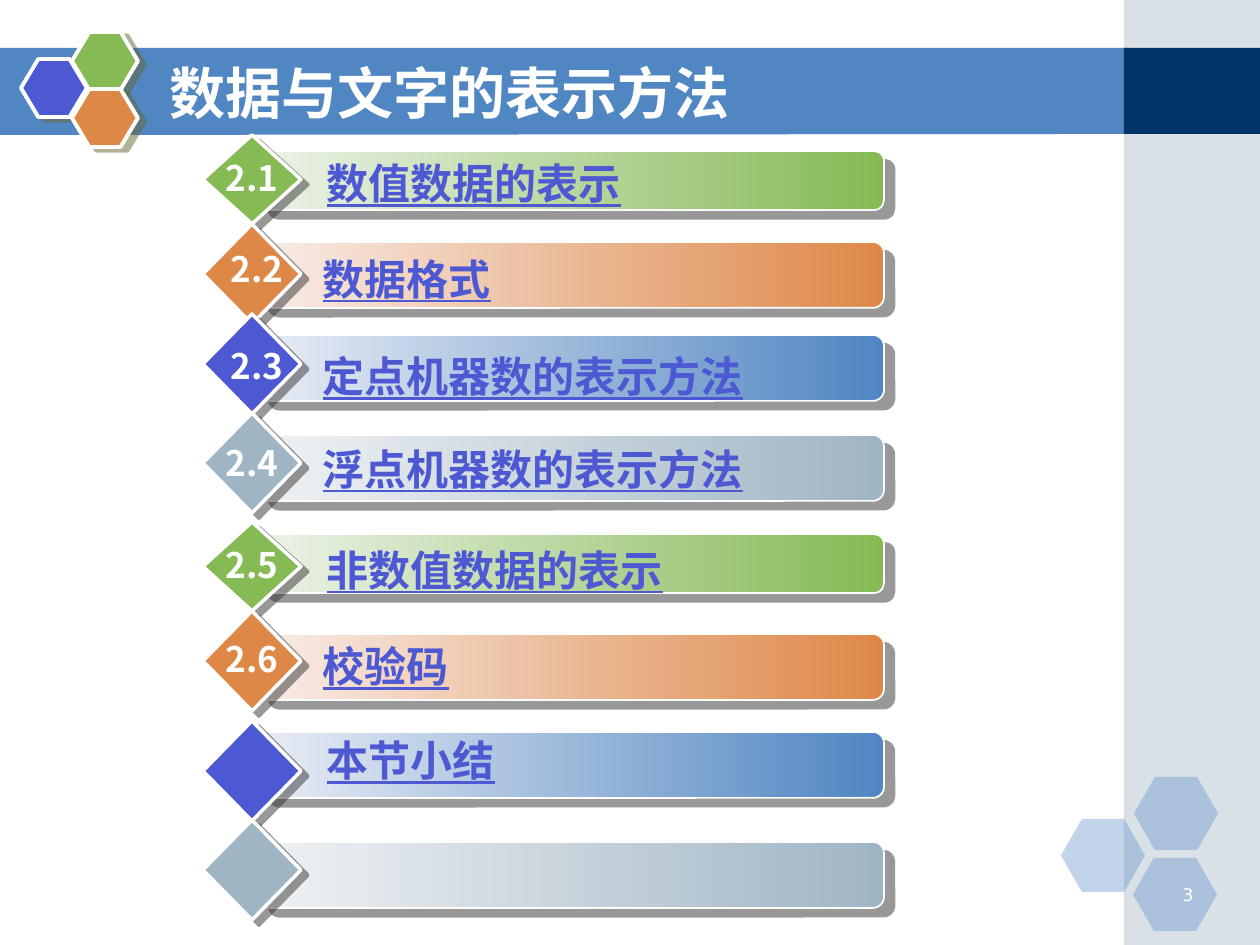
from lxml import etree
from pptx import Presentation
from pptx import util as u
from pptx.dml.color import RGBColor
from pptx.enum import shapes, text
from pptx.oxml import ns

EMU_PER_PX = 914400 / 126
FONT = "Noto Sans CJK SC"

WHITE = RGBColor(0xFF, 0xFF, 0xFF)
BLUE = RGBColor(0x50, 0x86, 0xC2)
NAVY = RGBColor(0x00, 0x33, 0x66)
INDIGO = RGBColor(0x4C, 0x59, 0xD2)
GREEN = RGBColor(0x85, 0xBA, 0x54)
ORANGE = RGBColor(0xDE, 0x88, 0x48)
STEEL = RGBColor(0xA0, 0xB5, 0xC4)
PALE_GREEN = RGBColor(0xEC, 0xF2, 0xE8)
PALE_ORANGE = RGBColor(0xF8, 0xEC, 0xE7)
PALE_BLUE = RGBColor(0xE8, 0xEC, 0xF4)
PALE_STEEL = RGBColor(0xEF, 0xF2, 0xF4)
OLIVE = RGBColor(0x66, 0x66, 0x33)
CHARCOAL = RGBColor(0x33, 0x33, 0x33)

# Colours cycle every four rows: diamond, bar start, bar end
SCHEMES = [
    (GREEN, PALE_GREEN, GREEN),
    (ORANGE, PALE_ORANGE, ORANGE),
    (INDIGO, PALE_BLUE, BLUE),
    (STEEL, PALE_STEEL, STEEL),
]

# Bar top, diamond top, number and its left and top, topic and its left and top
ROWS = [
    (151, 135, ("2.1", 213, 150), ("数值数据的表示", 295, 151)),
    (242, 224, ("2.2", 218, 241), ("数据格式", 291, 247)),
    (335, 314, ("2.3", 218, 338), ("定点机器数的表示方法", 291, 344)),
    (435, 413, ("2.4", 213, 435), ("浮点机器数的表示方法", 291, 437)),
    (534, 522, ("2.5", 213, 537), ("非数值数据的表示", 295, 538)),
    (634, 611, ("2.6", 213, 631), ("校验码", 291, 634)),
    (732, 721, None, ("本节小结", 295, 728)),
    (842, 820, None, None),
]


def px(*lengths):
    return [u.Emu(round(length * EMU_PER_PX)) for length in lengths]


def add_alpha(shape, percent):
    color = shape._element.spPr.find(".//" + ns.qn("a:srgbClr"))
    etree.SubElement(color, ns.qn("a:alpha"), val=str(percent * 1000))


def add_shadow(shape, color, distance, angle):
    effects = shape._element.spPr.find(ns.qn("a:effectLst"))
    shadow = etree.SubElement(
        effects, ns.qn("a:outerShdw"), blurRad="0", dist=str(u.Pt(distance)),
        dir=str(angle * 60000), algn="ctr", rotWithShape="0")
    shade = etree.SubElement(shadow, ns.qn("a:srgbClr"), val=str(color))
    etree.SubElement(shade, ns.qn("a:alpha"), val="50000")


def add_block(slide, kind, box, fill, outline=None, adjustments=()):
    """Draw a preset shape; a pair of colours as fill makes a gradient."""
    block = slide.shapes.add_shape(kind, *px(*box))
    block.shadow.inherit = False
    for index, value in enumerate(adjustments):
        block.adjustments[index] = value
    if isinstance(fill, RGBColor):
        block.fill.solid()
        block.fill.fore_color.rgb = fill
    else:
        block.fill.gradient()
        block.fill.gradient_angle = 0
        for stop, color in zip(block.fill.gradient_stops, fill):
            stop.color.rgb = color
    if outline:
        block.line.color.rgb = WHITE
        block.line.width = u.Pt(outline)
    else:
        block.line.fill.background()
    return block


def set_font(paragraph, size, color, name=FONT, bold=True):
    font = paragraph.font
    font.size = u.Pt(size)
    font.bold = bold
    font.color.rgb = color
    font.name = name
    etree.SubElement(font._element, ns.qn("a:ea"), typeface=name)
    return font


def add_label(slide, box, words):
    frame = slide.shapes.add_textbox(*px(*box)).text_frame
    frame.word_wrap = True
    frame.text = words
    return frame


def add_background(slide):
    # Banner across the top
    outline = slide.shapes.build_freeform(-1, 48, scale=EMU_PER_PX)
    outline.add_line_segments([(1128, 48), (1128, 134), (-1, 135)], close=True)
    banner = outline.convert_to_shape()
    banner.shadow.inherit = False
    banner.fill.solid()
    banner.fill.fore_color.rgb = BLUE
    banner.line.fill.background()

    # Side column
    rectangle = shapes.MSO_SHAPE.RECTANGLE
    add_alpha(add_block(slide, rectangle, (1124, 0, 136, 945), STEEL), 40)
    add_block(slide, rectangle, (1124, 48, 136, 86), NAVY)

    # Faint hexagons at the bottom right
    hexagon = shapes.MSO_SHAPE.HEXAGON
    for left, top in [(1061, 819), (1134, 777), (1133, 858)]:
        cell = add_block(slide, hexagon, (left, top, 84, 73), BLUE,
                         adjustments=(0.286, 1.155))
        add_alpha(cell, 35)

    # Hexagon cluster beside the title
    for left, top, color in [(21, 59, INDIGO), (72, 32, GREEN), (72, 89, ORANGE)]:
        cell = add_block(slide, hexagon, (left, top, 66, 58), color, 2.25,
                         (0.3, 1.155))
        add_shadow(cell, OLIVE, 4.5, 27)


def add_title(slide, words):
    title = slide.shapes.title
    title.left, title.top, title.width, title.height = px(157, 53, 924, 78)
    slide.shapes._spTree.append(title._element)  # in front of the banner
    frame = title.text_frame
    frame.text = words
    frame.auto_size = text.MSO_AUTO_SIZE.NONE
    frame.vertical_anchor = text.MSO_ANCHOR.MIDDLE
    paragraph = frame.paragraphs[0]
    paragraph.alignment = text.PP_ALIGN.LEFT
    set_font(paragraph, 32, WHITE)


def add_row(slide, scheme, is_green, bar_top, diamond_top, number, topic):
    accent, start, end = scheme
    bar_height, diamond_height = (59, 89) if is_green else (66, 100)
    bar = add_block(slide, shapes.MSO_SHAPE.ROUNDED_RECTANGLE,
                    (258, bar_top, 626, bar_height), (start, end), 1, (0.167,))
    add_shadow(bar, CHARCOAL, 7.8, 40)
    diamond = add_block(slide, shapes.MSO_SHAPE.DIAMOND,
                        (203, diamond_top, 98, diamond_height), accent, 2)
    add_shadow(diamond, CHARCOAL, 5, 37)
    if topic:
        words, left, top = topic
        frame = add_label(slide, (left, top, 494, 63), words)
        frame.margin_left = px(32)[0]
        set_font(frame.paragraphs[0], 24, INDIGO).underline = True
    if number:
        words, left, top = number
        frame = add_label(slide, (left, top, 90, 54), words)
        set_font(frame.paragraphs[0], 20, WHITE)


def add_page_number(slide, number):
    paragraph = add_label(slide, (1143, 878, 63, 32), number).paragraphs[0]
    paragraph.alignment = text.PP_ALIGN.RIGHT
    set_font(paragraph, 10, WHITE, "DejaVu Sans", bold=False)


def main():
    deck = Presentation()
    deck.slide_width, deck.slide_height = px(1260, 945)
    slide = deck.slides.add_slide(deck.slide_layouts[5])
    add_background(slide)
    add_page_number(slide, "3")
    add_title(slide, "数据与文字的表示方法")
    for index, row in enumerate(ROWS):
        scheme = SCHEMES[index % len(SCHEMES)]
        add_row(slide, scheme, scheme[0] == GREEN, *row)
    deck.save("out.pptx")


if __name__ == "__main__":
    main()
